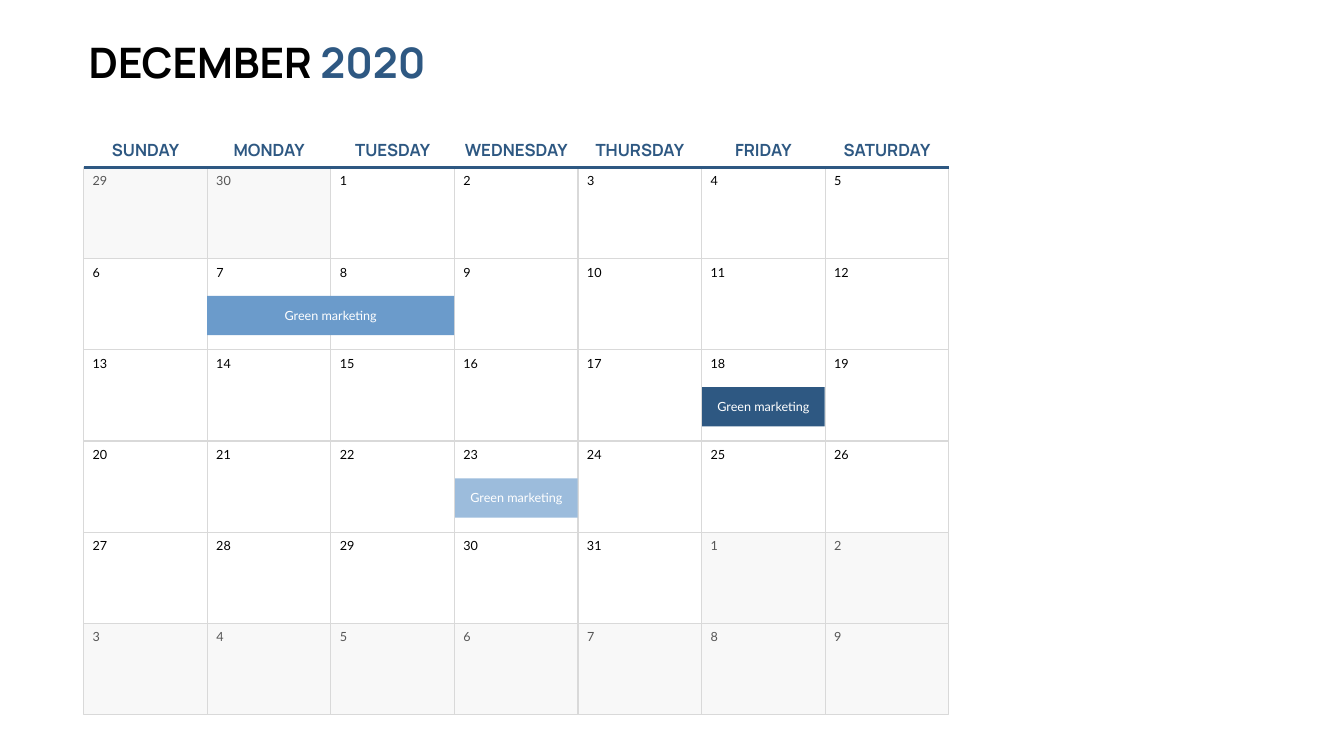
"""Build a December 2020 calendar slide with three marked events."""
from pptx import Presentation
from pptx import util as u
from pptx.dml.color import RGBColor
from pptx.enum import shapes, text
from pptx.oxml.ns import qn
from lxml import etree

PX = 9144
COLORS = {
    "black": "000000", "white": "FFFFFF", "navy": "2E5882", "blue": "6B9BCB",
    "sky": "9CBCDC", "muted": "565656", "grid": "D9D9D9", "outside": "F2F2F2",
}
WEEKDAYS = [
    ("SUNDAY", 162), ("MONDAY", 175), ("TUESDAY", 175), ("WEDNESDAY", 235),
    ("THURSDAY", 203), ("FRIDAY", 143), ("SATURDAY", 203),
]
EVENTS = [
    (411, 587, 490, 24, "blue"),
    (903, 949, 243, 16, "sky"),
    (1393, 768, 243, 16, "navy"),
]
LEFT, TOP, WIDTH, HEIGHT = 166, 333, 1716, 1084
COLUMNS, ROWS = 7, 6


def add_rectangle(parent, box, fill):
    shape = parent.add_shape(shapes.MSO_SHAPE.RECTANGLE, *[round(n * PX) for n in box])
    shape.shadow.inherit = False
    shape.fill.solid()
    shape.fill.fore_color.rgb = RGBColor.from_string(COLORS[fill])
    shape.line.fill.background()
    return shape


def add_text(parent, box, runs, size, font="Lato", bold=False, wrap=False,
             align=text.PP_ALIGN.LEFT, anchor=text.MSO_ANCHOR.MIDDLE):
    frame = parent.add_textbox(*[round(n * PX) for n in box]).text_frame
    frame.word_wrap = wrap
    frame.auto_size = text.MSO_AUTO_SIZE.SHAPE_TO_FIT_TEXT
    frame.vertical_anchor = anchor
    paragraph = frame.paragraphs[0]
    paragraph.alignment = align
    for words, color in runs:
        run = paragraph.add_run()
        run.text = words
        run.font.name = font
        run.font.size = u.Pt(size)
        run.font.bold = bold
        run.font.color.rgb = RGBColor.from_string(COLORS[color])


presentation = Presentation()
presentation.slide_width = 2666 * PX
presentation.slide_height = 1500 * PX
slide = presentation.slides.add_slide(presentation.slide_layouts[6])

add_text(slide.shapes, (166, 67, 694, 111), [("DECEMBER ", "black"), ("2020", "navy")],
         size=60, font="Manrope", bold=True, anchor=text.MSO_ANCHOR.TOP)

column_width = WIDTH / COLUMNS
row_height = HEIGHT / ROWS
days = [29, 30, *range(1, 32), *range(1, 10)]
for index, day in enumerate(days):
    row, column = divmod(index, COLUMNS)
    x = LEFT + column * column_width
    y = TOP + row * row_height
    in_month = 2 <= index < 33
    cell = add_rectangle(slide.shapes, (x, y, column_width, row_height),
                         "white" if in_month else "outside")
    cell.line.color.rgb = RGBColor.from_string(COLORS["grid"])
    cell.line.width = u.Pt(1.5)
    if not in_month:
        fill_color = cell.fill._xPr.find(qn("a:solidFill"))[0]
        etree.SubElement(fill_color, qn("a:alpha")).set("val", "50000")
    add_text(slide.shapes, (x + 8, y + 6, 50 if day > 9 else 35, 40),
             [(str(day), "black" if in_month else "muted")], size=18)

for column, (weekday, width) in enumerate(WEEKDAYS):
    x = LEFT + (column + 0.5) * column_width - width / 2
    add_text(slide.shapes, (x, 272, width, 50), [(weekday, "navy")], size=24,
             font="Manrope", bold=True, align=text.PP_ALIGN.CENTER)

header_rule = slide.shapes.add_connector(
    shapes.MSO_CONNECTOR.STRAIGHT, LEFT * PX, TOP * PX, (LEFT + WIDTH) * PX, TOP * PX)
header_rule.line.color.rgb = RGBColor.from_string(COLORS["navy"])
header_rule.line.width = u.Pt(4.5)
etree.SubElement(header_rule._element.spPr, qn("a:effectLst"))

for x, y, width, inset, color in EVENTS:
    event = slide.shapes.add_group_shape()
    add_rectangle(event.shapes, (x, y, width, 78), color)
    add_text(event.shapes, (x + inset, y + 19, width - 2 * inset, 40),
             [("Green marketing", "white")], size=18, wrap=True,
             align=text.PP_ALIGN.CENTER, anchor=text.MSO_ANCHOR.TOP)

presentation.save("out.pptx")
